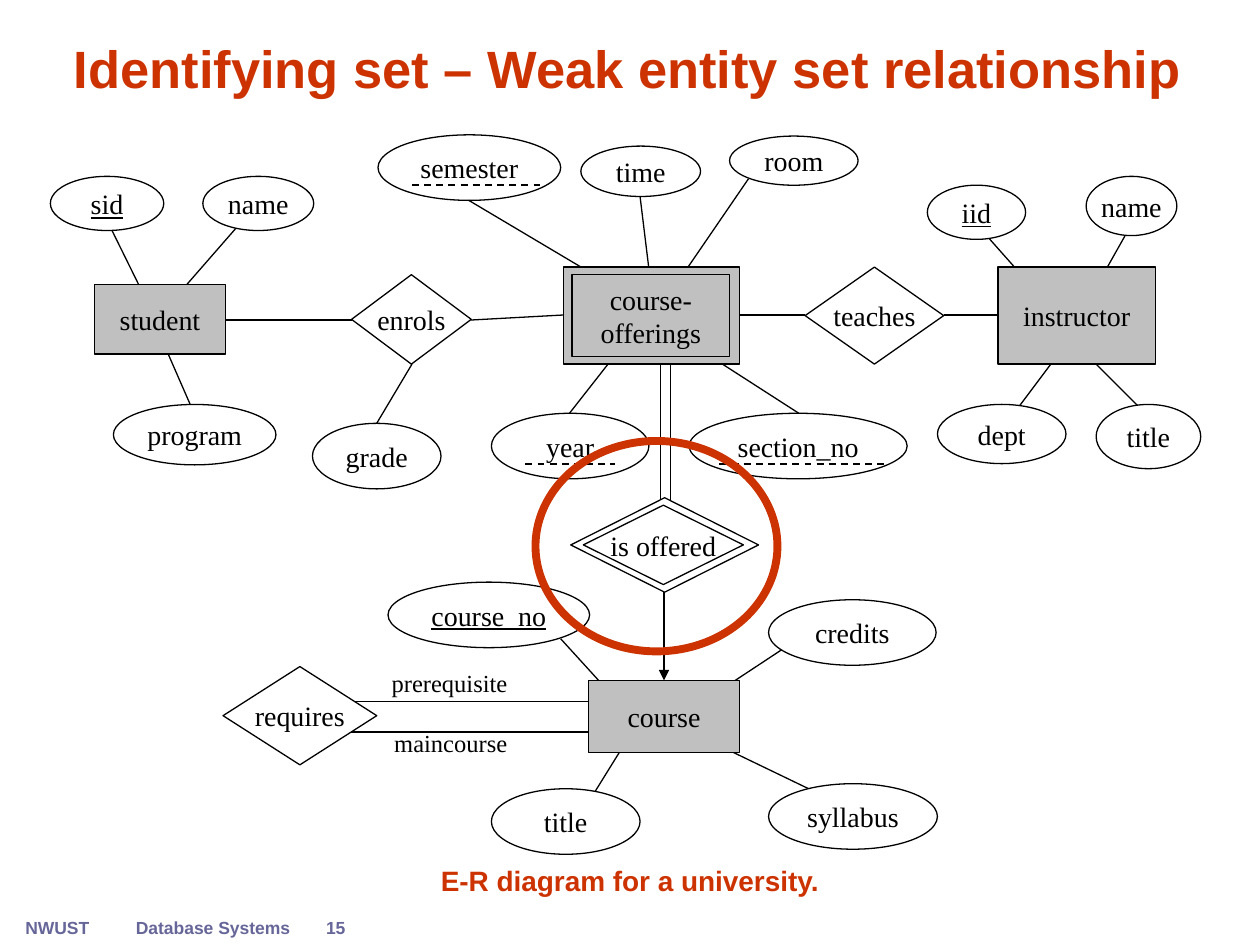
from dataclasses import dataclass
from typing import Optional

import pptx
import pptx.dml.color
import pptx.enum.dml
import pptx.enum.shapes
import pptx.enum.text
import pptx.oxml.ns
import pptx.util
from lxml import etree

Inches, Pt = pptx.util.Inches, pptx.util.Pt
RGBColor = pptx.dml.color.RGBColor
Kind = pptx.enum.shapes.MSO_SHAPE
Align = pptx.enum.text.PP_ALIGN
Anchor = pptx.enum.text.MSO_ANCHOR

BLACK = RGBColor(0x00, 0x00, 0x00)
WHITE = RGBColor(0xFF, 0xFF, 0xFF)
GREY = RGBColor(0xC0, 0xC0, 0xC0)
RED = RGBColor(0xCC, 0x33, 0x00)
SLATE = RGBColor(0x66, 0x66, 0x99)
SERIF, SANS = "Times New Roman", "Arial"

OVAL, BOX, RHOMB = Kind.OVAL, Kind.FLOWCHART_PROCESS, Kind.FLOWCHART_DECISION


@dataclass
class Node:
    text: str
    left: float
    top: float
    width: float
    height: float
    kind: int = OVAL
    fill: Optional[RGBColor] = WHITE
    key: bool = False
    wrap: bool = False
    line: RGBColor = BLACK
    weight: float = 0.75


@dataclass
class Link:
    x1: float
    y1: float
    x2: float
    y2: float
    dash: bool = False
    arrow: bool = False


@dataclass
class Label:
    text: str
    left: float
    top: float
    width: float
    height: float
    size: int
    font: str
    color: RGBColor
    bold: bool = False
    align: int = Align.CENTER
    wrap: bool = False
    anchor: int = Anchor.TOP


def write(shape, text: str, size: int, font: str, color: RGBColor,
          bold: bool = False, align: int = Align.CENTER,
          anchor: int = Anchor.MIDDLE, wrap: bool = False) -> None:
    frame = shape.text_frame
    frame.text = text
    frame.word_wrap = wrap
    frame.vertical_anchor = anchor
    frame.auto_size = pptx.enum.text.MSO_AUTO_SIZE.NONE
    para = frame.paragraphs[0]
    para.alignment = align
    para.font.size, para.font.name, para.font.bold = Pt(size), font, bold
    para.font.color.rgb = color


def draw_node(slide, node: Node) -> None:
    shape = slide.shapes.add_shape(
        node.kind, Inches(node.left), Inches(node.top), Inches(node.width), Inches(node.height))
    shape.shadow.inherit = False
    if node.fill is None:
        shape.fill.background()
    else:
        shape.fill.solid()
        shape.fill.fore_color.rgb = node.fill
    shape.line.color.rgb = node.line
    shape.line.width = Pt(node.weight)
    if node.text:
        write(shape, node.text, 16, SERIF, BLACK, wrap=node.wrap)
        shape.text_frame.paragraphs[0].font.underline = node.key


def draw_link(slide, link: Link) -> None:
    line = slide.shapes.add_connector(
        pptx.enum.shapes.MSO_CONNECTOR.STRAIGHT,
        Inches(link.x1), Inches(link.y1), Inches(link.x2), Inches(link.y2))
    line.line.color.rgb = BLACK
    line.line.width = Pt(1 if link.dash else 0.75)
    if link.dash:
        line.line.dash_style = pptx.enum.dml.MSO_LINE.DASH
    qn = pptx.oxml.ns.qn
    if link.arrow:
        etree.SubElement(line.line._get_or_add_ln(), qn("a:tailEnd"), type="triangle")
    etree.SubElement(line._element.spPr, qn("a:effectLst"))


def draw_label(slide, label: Label) -> None:
    box = slide.shapes.add_textbox(
        Inches(label.left), Inches(label.top), Inches(label.width), Inches(label.height))
    write(box, label.text, label.size, label.font, label.color, label.bold,
          label.align, label.anchor, label.wrap)


LINKS = [
    # student and enrols
    Link(0.83, 1.71, 1.22, 2.5), Link(1.9, 1.78, 1.35, 2.41), Link(1.3, 2.73, 1.61, 3.44),
    Link(1.78, 2.54, 2.79, 2.54), Link(3.74, 2.54, 4.47, 2.5), Link(3.27, 2.89, 2.99, 3.36),
    # course-offerings
    Link(4.52, 3.28, 5.1, 2.54), Link(6.34, 3.28, 5.19, 2.54), Link(5.94, 1.42, 5.2, 2.5),
    Link(5.08, 1.56, 5.19, 2.46), Link(3.72, 1.59, 5.15, 2.44),
    Link(5.24, 4.07, 5.24, 2.81), Link(5.32, 4.07, 5.32, 2.81),
    # teaches and instructor
    Link(5.87, 2.5, 6.39, 2.5), Link(7.49, 2.5, 7.92, 2.5),
    Link(7.75, 1.78, 8.38, 2.49), Link(9.02, 1.71, 8.62, 2.42),
    Link(7.89, 3.49, 8.46, 2.73), Link(9.33, 3.52, 8.54, 2.73),
    # course and requires
    Link(4.75, 5.57, 2.78, 5.57), Link(4.75, 5.81, 2.78, 5.81),
    Link(6.29, 5.1, 5.79, 5.43), Link(6.48, 6.29, 5.63, 5.88),
    Link(4.45, 5.07, 5.27, 5.97), Link(5.27, 5.4, 4.6, 6.48),
]

NODES = [
    # Entity sets
    Node("student", 0.75, 2.26, 1.04, 0.55, BOX, GREY),
    Node("", 4.47, 2.12, 1.4, 0.77, Kind.RECTANGLE, GREY),
    Node("course- offerings", 4.54, 2.18, 1.25, 0.65, Kind.RECTANGLE, GREY, wrap=True),
    Node("instructor", 7.92, 2.12, 1.25, 0.77, BOX, GREY),
    Node("course", 4.67, 5.4, 1.2, 0.57, BOX, GREY),
    # Relationship sets
    Node("enrols", 2.79, 2.18, 0.95, 0.71, RHOMB),
    Node("teaches", 6.39, 2.12, 1.1, 0.77, RHOMB),
    Node("requires", 1.77, 5.29, 1.22, 0.78, RHOMB),
    Node("", 4.53, 3.95, 1.49, 0.75, Kind.DIAMOND),
    Node("is offered", 4.63, 4.01, 1.27, 0.63, RHOMB),
    # Attributes
    Node("sid", 0.4, 1.4, 0.9, 0.43, key=True),
    Node("name", 1.61, 1.4, 0.88, 0.43),
    Node("program", 0.9, 3.21, 1.29, 0.48),
    Node("grade", 2.48, 3.36, 1.02, 0.52, fill=None),
    Node("semester", 3, 1.07, 1.45, 0.52, fill=None),
    Node("time", 4.61, 1.16, 0.95, 0.4, fill=None),
    Node("room", 5.79, 1.08, 1.02, 0.39, fill=None),
    Node("year", 3.9, 3.28, 1.25, 0.52, fill=None),
    Node("section_no", 5.47, 3.28, 1.73, 0.52),
    Node("iid", 7.36, 1.47, 0.78, 0.43, key=True),
    Node("name", 8.62, 1.4, 0.72, 0.47),
    Node("dept", 7.44, 3.21, 1.02, 0.47),
    Node("title", 8.7, 3.21, 0.83, 0.51),
    Node("course_no", 3.08, 4.62, 1.6, 0.52, fill=None, key=True),
    Node("credits", 6.1, 4.76, 1.33, 0.52),
    Node("title", 3.9, 6.26, 1.18, 0.52),
    Node("syllabus", 6.1, 6.22, 1.34, 0.52),
]

# Partial keys and the arrow to course
MARKS = [
    Link(3.27, 1.47, 4.29, 1.47, dash=True), Link(4.17, 3.68, 4.88, 3.68, dash=True),
    Link(5.71, 3.68, 7.05, 3.68, dash=True), Link(5.27, 4.7, 5.27, 5.4, arrow=True),
]

RING = Node("", 4.25, 3.5, 1.92, 1.67, fill=None, line=RED, weight=4.5)

LABELS = [
    Label("prerequisite", 3.01, 5.25, 1.43, 0.34, 14, SERIF, BLACK, align=Align.LEFT),
    Label("maincourse", 3.03, 5.73, 1.42, 0.34, 14, SERIF, BLACK, align=Align.LEFT),
    Label("E-R diagram for a university.", 0.75, 6.66, 8.5, 0.51, 16, SANS, RED, True,
          wrap=True, anchor=Anchor.BOTTOM),
    # Footer
    Label("NWUST", 0.12, 7.23, 0.67, 0.27, 10, SANS, SLATE, True),
    Label("Database Systems", 0.98, 7.23, 1.42, 0.27, 10, SANS, SLATE, True, Align.LEFT),
    Label("15", 2.23, 7.23, 0.87, 0.27, 10, SANS, SLATE, True),
]

deck = pptx.Presentation()
deck.slide_width, deck.slide_height = Inches(10), Inches(7.5)
slide = deck.slides.add_slide(deck.slide_layouts[5])

# Title
title = slide.shapes.title
title.left, title.top = Inches(0.33), Inches(0.22)
title.width, title.height = Inches(9.42), Inches(0.62)
write(title, "Identifying set – Weak entity set relationship ", 30, SANS, RED, True,
      anchor=Anchor.BOTTOM, wrap=True)

# Diagram, from back to front
for link in LINKS:
    draw_link(slide, link)
for node in NODES:
    draw_node(slide, node)
for mark in MARKS:
    draw_link(slide, mark)
for label in LABELS:
    draw_label(slide, label)
draw_node(slide, RING)

deck.save("out.pptx")
